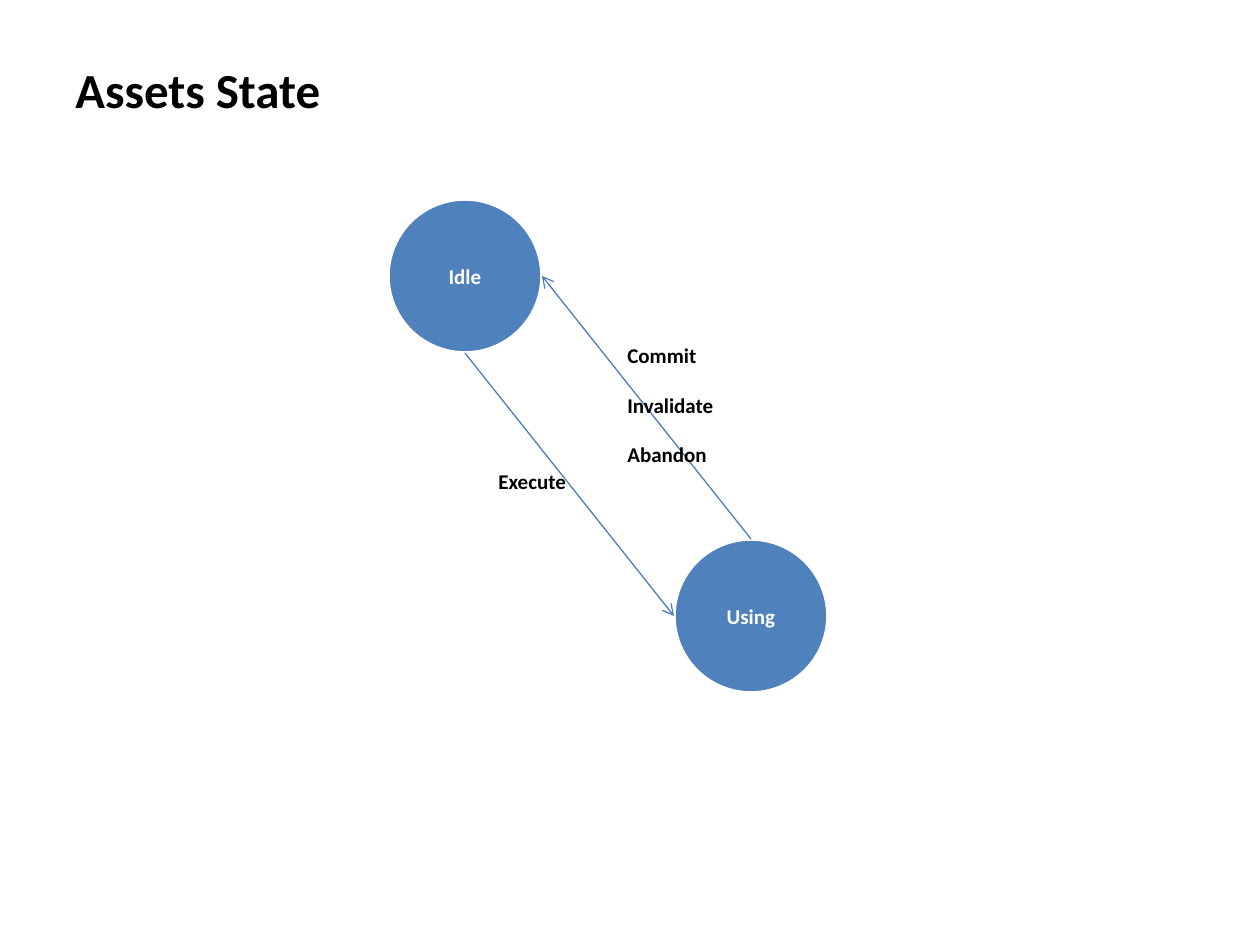
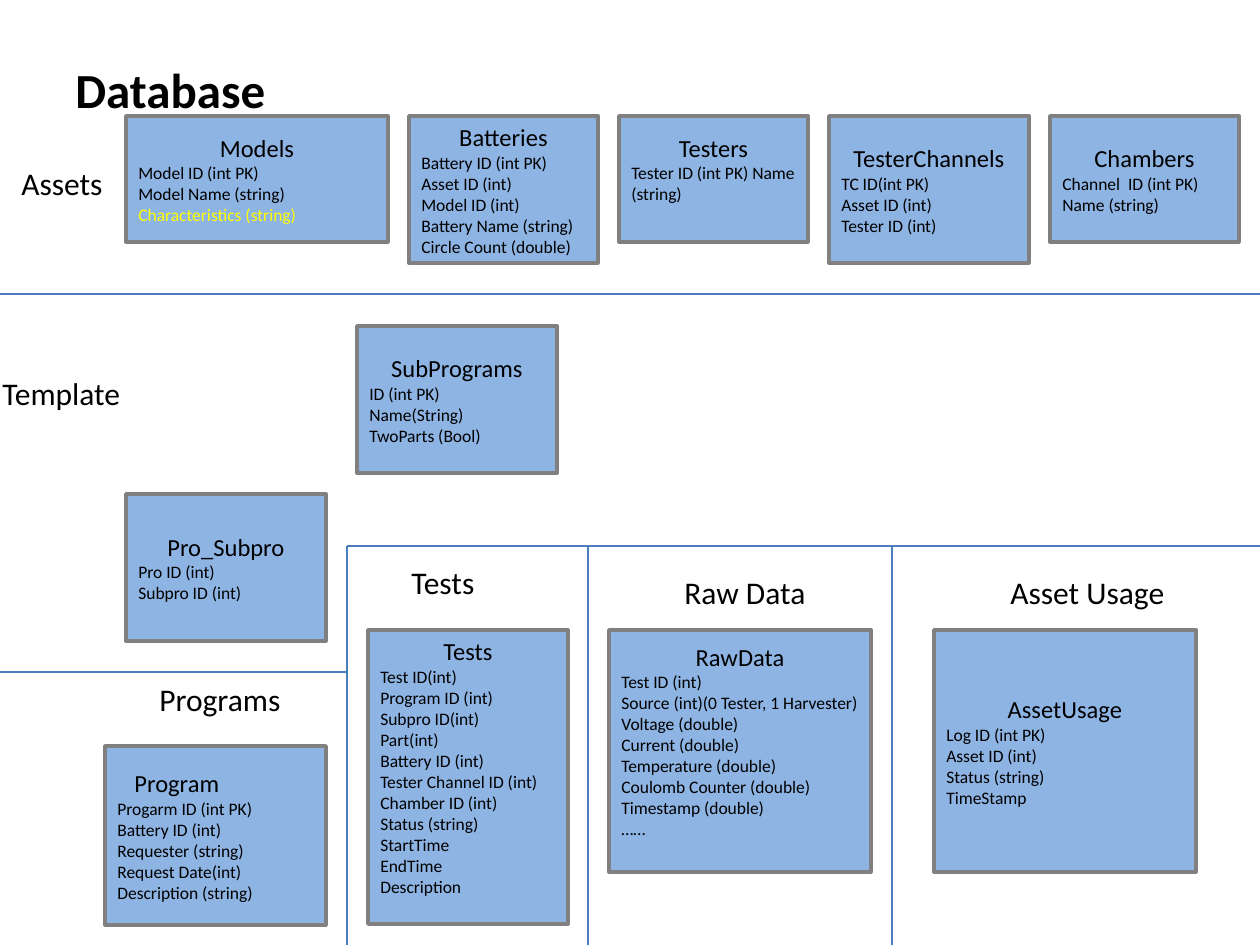
import lxml.etree
import pptx
import pptx.dml.color
import pptx.enum.shapes
import pptx.enum.text
import pptx.oxml.ns
import pptx.util

SHAPES = pptx.enum.shapes.MSO_SHAPE
ALIGN = pptx.enum.text.PP_ALIGN
MIDDLE = pptx.enum.text.MSO_ANCHOR.MIDDLE
FIT = pptx.enum.text.MSO_AUTO_SIZE.SHAPE_TO_FIT_TEXT

THEME = {
    "font": "Calibri",
    "ink": "000000",
    "white": "FFFFFF",
    "state": "4F81BD",
    "table": "8EB4E3",
    "border": "808080",
    "line": "4B7EBC",
    "highlight": "FFFF00",
    "title": {"size": 28, "bold": True},
    "section": {"size": 18},
    "table_name": {"size": 14},
    "field": {"size": 10},
    "label": {"size": 12, "bold": True},
    "outline": 2,
    "rule": 0.75,
}
SLIDE_SIZE = (1260, 945)
PIXEL = 914400 / 126
GAP = 21          # between tables; also the height of one field line
PADDING = 6
LABEL_GAP = 14.65  # points: one line of label text

# Slide 1: states and the labels of the transitions between them
DIAMETER = 154
STATES = {"Idle": (388, 199), "Using": (674, 539)}
TRANSITION_LABELS = [
    ((486, 462, 93, 38), ["Execute"]),
    ((615, 336, 112, 89), ["Commit", "Invalidate"]),
    ((615, 435, 106, 38), ["Abandon"]),
]

# Slide 2: the asset tables stand in one row: name, width, height, fields
ASSETS_START = (126, 116)
ASSET_TABLES = [
    ("Models", 262, 126, ["Model ID (int PK)", "Model Name (string)",
                          "Characteristics (string)"]),
    ("Batteries", 189, 147, ["Battery ID (int PK)", "Asset ID (int)",
                             "Model ID (int)", "Battery Name (string)",
                             "Circle Count (double)"]),
    ("Testers", 189, 126, ["Tester ID (int PK) Name (string)"]),
    ("TesterChannels", 200, 147, ["TC ID(int PK)", "Asset ID (int)",
                                  "Tester ID (int)"]),
    ("Chambers", 189, 126, ["Channel  ID (int PK)", "Name (string)"]),
]
OTHER_TABLES = [
    ("SubPrograms", (357, 326, 200, 147),
     ["ID (int PK)", "Name(String)", "TwoParts (Bool)"]),
    ("Pro_Subpro", (126, 494, 200, 147), ["Pro ID (int)", "Subpro ID (int)"]),
    ("Program", (105, 746, 221, 179),
     ["Progarm ID (int PK)", "Battery ID (int)", "Requester (string)",
      "Request Date(int)", "Description (string)"]),
    ("Tests", (368, 630, 200, 294),
     ["Test ID(int)", "Program ID (int)", "Subpro ID(int)", "Part(int)",
      "Battery ID (int)", "Tester Channel ID (int)", "Chamber ID (int)",
      "Status (string)", "StartTime", "EndTime", "Description"]),
    ("RawData", (609, 630, 262, 242),
     ["Test ID (int)", "Source (int)(0 Tester, 1 Harvester)",
      "Voltage (double)", "Current (double)", "Temperature (double)",
      "Coulomb Counter (double)", "Timestamp (double)", "……"]),
    ("AssetUsage", (934, 630, 262, 242),
     ["Log ID (int PK)", "Asset ID (int)", "Status (string)", "TimeStamp"]),
]
OPEN_ENDED = {"Testers", "Tests", "RawData"}  # one line left free below
NAME_INDENT = {"Program": 17}                 # name at the left, indented
HIGHLIGHTED = {"Characteristics (string)"}
SECTIONS = [
    ("Assets", (9, 158, 107, 50)),
    ("Template", (-10, 368, 145, 50)),
    ("Programs", (147, 674, 147, 50)),
    ("Tests", (399, 557, 89, 50)),
    ("Raw Data", (672, 567, 147, 50)),
    ("Asset Usage", (998, 567, 180, 50)),
]
WIDTH, HEIGHT = SLIDE_SIZE
ASSETS_END, DATA_TOP, PROGRAMS_TOP = 294, 546, 672
DATA_COLUMNS = [347, 588, 892]
DIVIDERS = [
    ((0, ASSETS_END), (WIDTH, ASSETS_END)),
    ((DATA_COLUMNS[0], DATA_TOP), (WIDTH, DATA_TOP)),
    ((0, PROGRAMS_TOP), (DATA_COLUMNS[0], PROGRAMS_TOP)),
] + [((x, DATA_TOP), (x, HEIGHT)) for x in DATA_COLUMNS]


def emu(*pixels):
    """Turn pixel lengths into EMU."""
    return [pptx.util.Emu(round(value * PIXEL)) for value in pixels]


def rgb(name):
    """Look up a theme colour."""
    return pptx.dml.color.RGBColor.from_string(THEME[name])


def apply_format(target, values):
    """Set every attribute of a dict on an object."""
    for name, value in values.items():
        setattr(target, name, value)


def write(paragraph, text, style, color="ink", **paragraph_format):
    """Put one styled run into a paragraph."""
    apply_format(paragraph, paragraph_format)
    run = paragraph.add_run()
    run.text = text
    values = {"name": THEME["font"], **THEME[style]}
    values["size"] = pptx.util.Pt(values["size"])
    apply_format(run.font, values)
    run.font.color.rgb = rgb(color)


def add_label(slide, box, lines, style):
    """Add an unwrapped text box with one paragraph per line."""
    frame = slide.shapes.add_textbox(*emu(*box)).text_frame
    apply_format(frame, {"word_wrap": False, "auto_size": FIT})
    for index, line in enumerate(lines):
        paragraph = frame.add_paragraph() if index else frame.paragraphs[0]
        write(paragraph, line, style,
              space_before=pptx.util.Pt(LABEL_GAP if index else 0))


def add_filled(slide, kind, box, fill, outline):
    """Add a filled preset shape and return its text frame."""
    shape = slide.shapes.add_shape(kind, *emu(*box))
    shape.shadow.inherit = False
    shape.fill.solid()
    shape.fill.fore_color.rgb = rgb(fill)
    shape.line.color.rgb = rgb(outline)
    shape.line.width = pptx.util.Pt(THEME["outline"])
    apply_format(shape.text_frame,
                 {"word_wrap": True, "vertical_anchor": MIDDLE})
    return shape.text_frame


def add_line(slide, start, end, arrow=False):
    """Add a straight line, with an open arrowhead at its end if asked."""
    line = slide.shapes.add_connector(
        pptx.enum.shapes.MSO_CONNECTOR.STRAIGHT, *emu(*start, *end))
    line.line.color.rgb = rgb("line")
    line.line.width = pptx.util.Pt(THEME["rule"])
    qualified = pptx.oxml.ns.qn
    if arrow:
        lxml.etree.SubElement(line.line._get_or_add_ln(),
                              qualified("a:tailEnd"), type="arrow")
    lxml.etree.SubElement(line._element.spPr, qualified("a:effectLst"))


def add_state(slide, name, corner):
    """Add a state circle."""
    frame = add_filled(slide, SHAPES.OVAL, (*corner, DIAMETER, DIAMETER),
                       "state", "white")
    write(frame.paragraphs[0], name, "label", "white", alignment=ALIGN.CENTER)


def add_entity(slide, name, box, fields):
    """Add a database table: its name above its fields."""
    frame = add_filled(slide, SHAPES.RECTANGLE, box, "table", "border")
    frame.margin_bottom, = emu(PADDING + GAP * (name in OPEN_ENDED))
    heading = frame.paragraphs[0]
    indented = name in NAME_INDENT
    write(heading, name, "table_name",
          alignment=ALIGN.LEFT if indented else ALIGN.CENTER)
    if indented:
        indent, = emu(NAME_INDENT[name])
        heading._p.get_or_add_pPr().set("marL", str(indent))
    for field in fields:
        write(frame.add_paragraph(), field, "field",
              "highlight" if field in HIGHLIGHTED else "ink",
              alignment=ALIGN.LEFT)


def add_slide(presentation, title, title_width):
    """Add a blank slide with the shared title."""
    slide = presentation.slides.add_slide(presentation.slide_layouts[6])
    add_label(slide, (63, 53, title_width, 72), [title], "title")
    return slide


def build_states(presentation):
    """Build the state diagram."""
    slide = add_slide(presentation, "Assets State", 273)
    for name, corner in STATES.items():
        add_state(slide, name, corner)
    radius = DIAMETER // 2
    (idle_x, idle_y), (using_x, using_y) = STATES.values()
    add_line(slide, (using_x + radius, using_y),
             (idle_x + DIAMETER, idle_y + radius), arrow=True)
    add_line(slide, (idle_x + radius, idle_y + DIAMETER),
             (using_x, using_y + radius), arrow=True)
    for box, lines in TRANSITION_LABELS:
        add_label(slide, box, lines, "label")


def build_database(presentation):
    """Build the database overview."""
    slide = add_slide(presentation, "Database", 218)
    for start, end in DIVIDERS:
        add_line(slide, start, end)
    for name, box in SECTIONS:
        add_label(slide, box, [name], "section")
    left, top = ASSETS_START
    for name, width, height, fields in ASSET_TABLES:
        add_entity(slide, name, (left, top, width, height), fields)
        left += width + GAP
    for name, box, fields in OTHER_TABLES:
        add_entity(slide, name, box, fields)


presentation = pptx.Presentation()
presentation.slide_width, presentation.slide_height = emu(*SLIDE_SIZE)
build_states(presentation)
build_database(presentation)
presentation.save("out.pptx")
